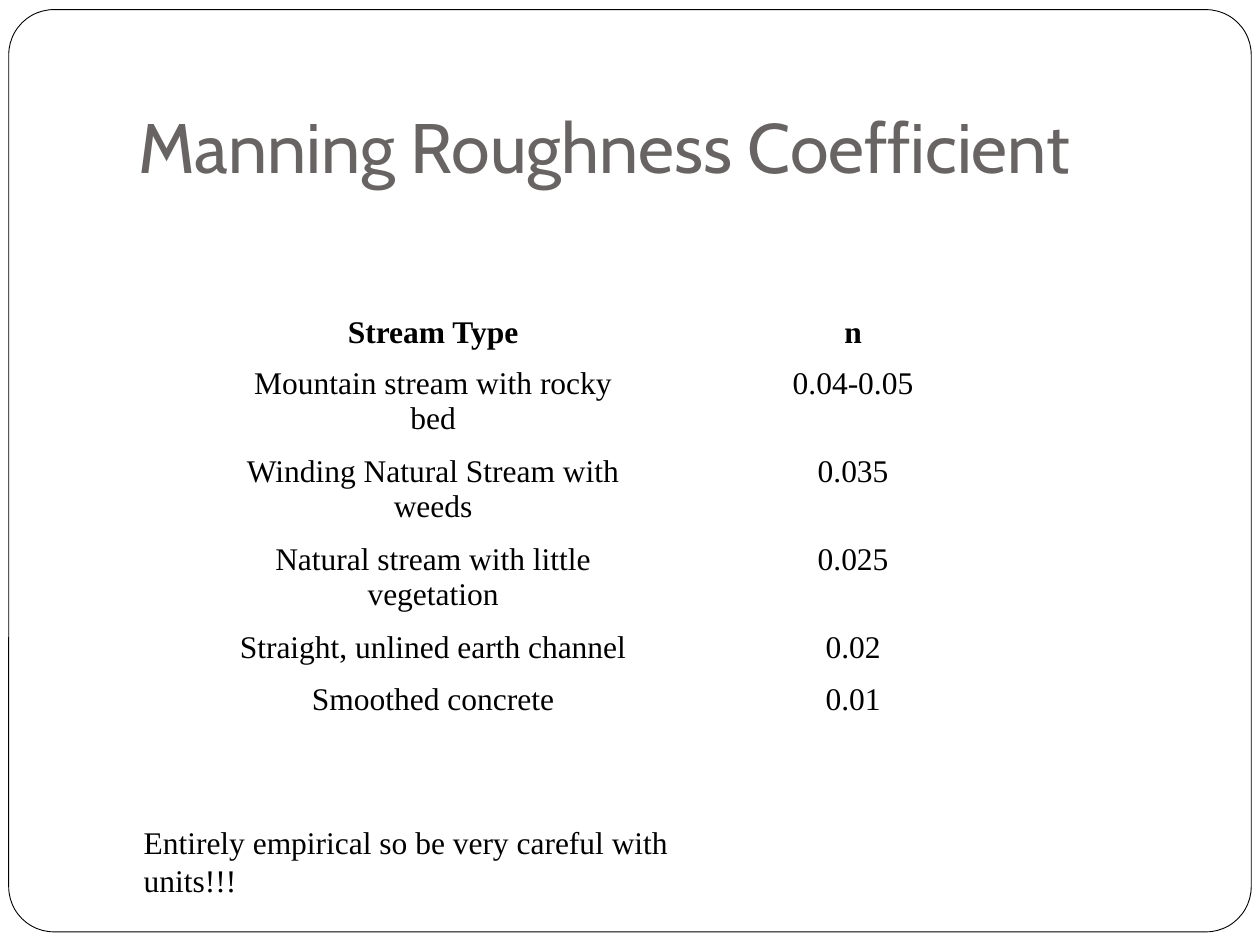
from pptx import Presentation
from pptx.dml.color import RGBColor
from pptx.enum.shapes import MSO_SHAPE
from pptx.enum.text import MSO_ANCHOR, PP_ALIGN
from pptx.util import Pt

BLACK, WHITE, TITLE_GREY = "000000", "FFFFFF", "696464"
BODY_FONT, TITLE_FONT = "Times New Roman", "Cabin"

ROUGHNESS = [
    ("Stream Type", "n"),
    ("Mountain stream with rocky bed", "0.04-0.05"),
    ("Winding Natural Stream with weeds", "0.035"),
    ("Natural stream with little vegetation", "0.025"),
    ("Straight, unlined earth channel", "0.02"),
    ("Smoothed concrete", "0.01"),
]


def color(hex_value):
    return RGBColor.from_string(hex_value)


def write(frame, text, *, size=18, font=BODY_FONT, fill=BLACK, bold=False,
          align=PP_ALIGN.LEFT):
    paragraph = frame.paragraphs[0]
    paragraph.alignment = align
    run = paragraph.add_run()
    run.text = text
    run.font.size = Pt(size)
    run.font.name = font
    run.font.bold = bold
    run.font.color.rgb = color(fill)


def add_frame(slide, left, top, width, height):
    border = slide.shapes.add_shape(
        MSO_SHAPE.ROUNDED_RECTANGLE, Pt(left), Pt(top), Pt(width), Pt(height))
    border.adjustments[0] = 0.049
    border.shadow.inherit = False
    border.fill.solid()
    border.fill.fore_color.rgb = color(WHITE)
    border.line.color.rgb = color(BLACK)
    border.line.width = Pt(0.5)


def add_text(slide, text, left, top, width, height, *,
             anchor=MSO_ANCHOR.TOP, bottom_inset=3.6, **text_format):
    box = slide.shapes.add_textbox(Pt(left), Pt(top), Pt(width), Pt(height))
    frame = box.text_frame
    frame.word_wrap = True
    frame.vertical_anchor = anchor
    frame.margin_bottom = Pt(bottom_inset)
    write(frame, text, **text_format)


def add_roughness_table(slide, rows, left, top, width, row_height):
    table = slide.shapes.add_table(
        len(rows), len(rows[0]), Pt(left), Pt(top),
        Pt(width), Pt(row_height * len(rows))).table
    table.first_row = False
    table.horz_banding = False
    for row_index, row in enumerate(rows):
        for column_index, text in enumerate(row):
            cell = table.cell(row_index, column_index)
            cell.fill.solid()
            cell.fill.fore_color.rgb = color(WHITE)
            write(cell.text_frame, text, bold=row_index == 0,
                  align=PP_ALIGN.CENTER)


def main():
    presentation = Presentation()
    presentation.slide_width, presentation.slide_height = Pt(720), Pt(540)
    slide = presentation.slides.add_slide(presentation.slide_layouts[6])

    # Rounded border around the slide
    add_frame(slide, 5, 5.5, 710, 527)

    # Title
    add_text(slide, "Manning Roughness Coefficient", 72, 24.5, 612, 90,
             anchor=MSO_ANCHOR.BOTTOM, bottom_inset=7.2,
             size=40, font=TITLE_FONT, fill=TITLE_GREY)

    # Roughness by stream type
    add_roughness_table(slide, ROUGHNESS, 127.5, 176.4, 480, 29.2)

    # Caution about units
    add_text(slide, "Entirely empirical so be very careful with units!!!",
             75, 466.6, 337, 29)

    presentation.save("out.pptx")


if __name__ == "__main__":
    main()
